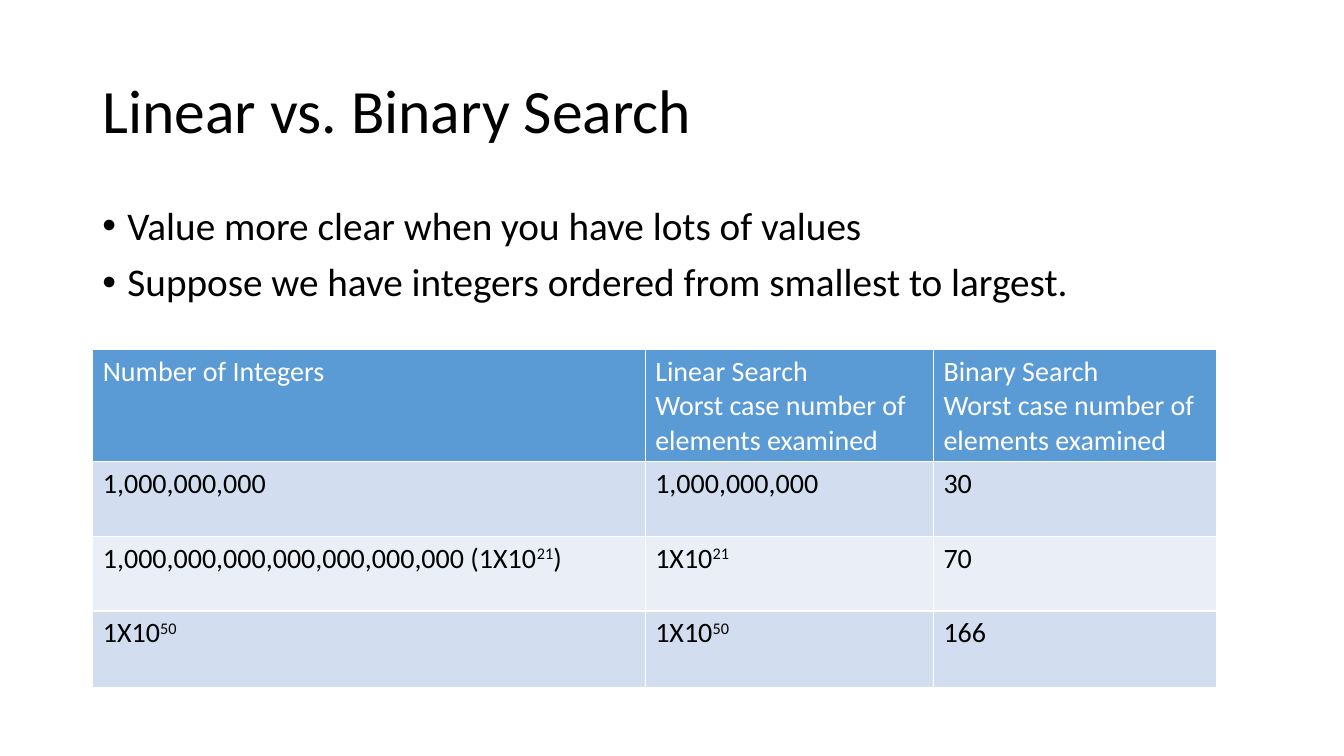
from lxml import etree
from pptx import Presentation
from pptx.dml.color import RGBColor
from pptx.enum.text import MSO_ANCHOR
from pptx.oxml.ns import qn
from pptx.util import Pt

MIDDLE = MSO_ANCHOR.MIDDLE
FONT = "Calibri"
COLORS = {"text": "000000", "white": "FFFFFF", "header": "5B9BD5",
          "odd_row": "D2DEEF", "even_row": "EAEFF7"}
BULLETS = ["Value more clear when you have lots of values",
           "Suppose we have integers ordered from smallest to largest."]
WORST_CASE = "Search\nWorst case number of elements examined"
SEARCH_ROWS = [
    ["Number of Integers", f"Linear {WORST_CASE}", f"Binary {WORST_CASE}"],
    ["1,000,000,000", "1,000,000,000", "30"],
    ["1,000,000,000,000,000,000,000 (1X10^21^)", "1X10^21", "70"],
    ["1X10^50", "1X10^50", "166"],
]
COLUMN_WIDTHS = [394.6, 205.9, 202.3]
ROW_HEIGHTS = [80, 53.3, 53.3, 55]


def format_runs(paragraph, size, color):
    """Apply the font, size and colour to every run of a paragraph."""
    for run in paragraph.runs:
        run.font.name = FONT
        run.font.size = Pt(size)
        run.font.color.rgb = RGBColor.from_string(COLORS[color])


def add_text(slide, box, lines, size):
    """Add a wrapped text box with one paragraph per line and return its frame."""
    text_frame = slide.shapes.add_textbox(*map(Pt, box)).text_frame
    text_frame.word_wrap = True
    text_frame.text = "\n".join(lines)
    for paragraph in text_frame.paragraphs:
        paragraph.line_spacing = 0.9
        format_runs(paragraph, size, "text")
    return text_frame


def add_title(slide, box, title):
    """Add the vertically centred slide title."""
    add_text(slide, box, [title], 44).vertical_anchor = MIDDLE


def add_bullets(slide, box, lines):
    """Add the bulleted list."""
    for paragraph in add_text(slide, box, lines, 28).paragraphs:
        paragraph.space_before = Pt(10)
        properties = paragraph._p.get_or_add_pPr()
        properties.set("marL", str(Pt(18)))
        properties.set("indent", str(Pt(-18)))
        etree.SubElement(properties, qn("a:buFont")).set("typeface", "Arial")
        etree.SubElement(properties, qn("a:buChar")).set("char", "•")


def add_borders(cell):
    """Draw thin white lines on all four sides of a cell."""
    properties = cell._tc.get_or_add_tcPr()
    for side in ("a:lnL", "a:lnR", "a:lnT", "a:lnB"):
        line = etree.SubElement(properties, qn(side), w=str(Pt(1)))
        fill = etree.SubElement(line, qn("a:solidFill"))
        etree.SubElement(fill, qn("a:srgbClr"), val=COLORS["white"])


def fill_cell(cell, text, fill, color):
    """Write a cell, raising the text between carets to superscript."""
    add_borders(cell)
    cell.fill.solid()
    cell.fill.fore_color.rgb = RGBColor.from_string(COLORS[fill])
    base, *parts = text.split("^")
    paragraph = cell.text_frame.paragraphs[0]
    paragraph.text = base.replace("\n", "\v")
    for index, part in enumerate(parts):
        run = paragraph.add_run()
        run.text = part
        if index % 2 == 0:
            run._r.get_or_add_rPr().set("baseline", "30000")
    format_runs(paragraph, 20, color)


def add_search_table(slide, left, top, rows):
    """Add the table comparing the two searches."""
    table = slide.shapes.add_table(
        len(rows), len(COLUMN_WIDTHS), Pt(left), Pt(top),
        Pt(sum(COLUMN_WIDTHS)), Pt(sum(ROW_HEIGHTS))).table
    for column, width in zip(table.columns, COLUMN_WIDTHS):
        column.width = Pt(width)
    for row_index, texts in enumerate(rows):
        table.rows[row_index].height = Pt(ROW_HEIGHTS[row_index])
        if row_index == 0:
            fill, color = "header", "white"
        else:
            fill, color = ("odd_row" if row_index % 2 else "even_row"), "text"
        for column_index, text in enumerate(texts):
            fill_cell(table.cell(row_index, column_index), text, fill, color)


def build_search_slide(presentation):
    """Build the slide comparing linear and binary search."""
    slide = presentation.slides.add_slide(presentation.slide_layouts[6])
    add_title(slide, (66, 28.8, 828, 104.4), "Linear vs. Binary Search")
    add_bullets(slide, (66, 144, 828, 342.7), BULLETS)
    add_search_table(slide, 66.3, 249.8, SEARCH_ROWS)


presentation = Presentation()
presentation.slide_width = Pt(960)
presentation.slide_height = Pt(540)
build_search_slide(presentation)
presentation.save("out.pptx")
